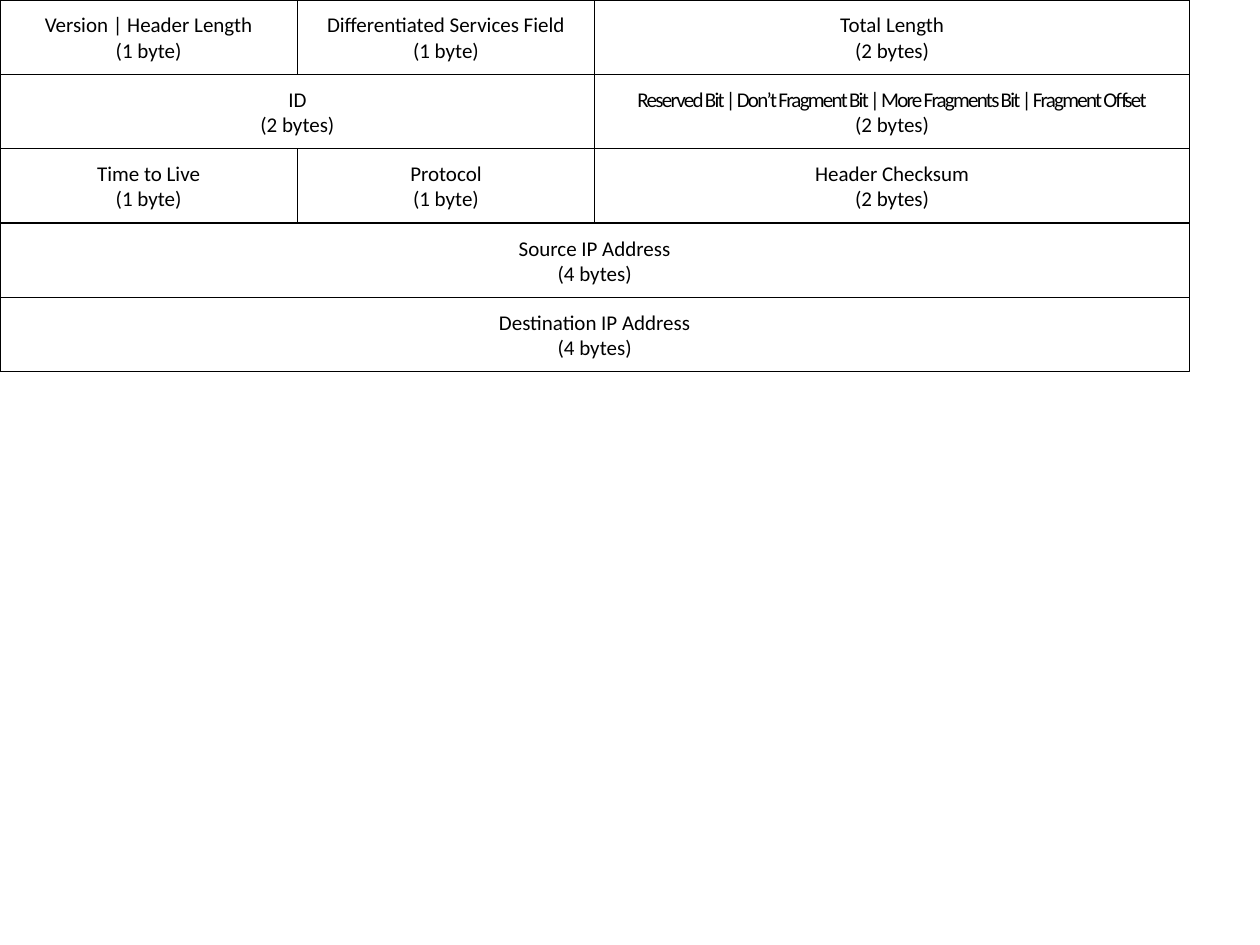
"""Build a slide that lays out the fields of an IPv4 header."""
from dataclasses import dataclass

from pptx import Presentation
from pptx.dml.color import RGBColor
from pptx.enum.shapes import MSO_SHAPE
from pptx.enum.text import MSO_ANCHOR, PP_ALIGN
from pptx.util import Inches, Pt

BYTE_WIDTH = 2.36
ROW_HEIGHT = 0.59
ROW_BYTES = 4
INK = "000000"


@dataclass(frozen=True)
class HeaderField:
    """A field of the header, with letter spacing in points."""
    label: str
    size: int
    spacing: int = 0


FIELDS = [
    HeaderField("Version | Header Length", 1),
    HeaderField("Differentiated Services Field", 1),
    HeaderField("Total Length", 2),
    HeaderField("ID", 2),
    HeaderField("Reserved Bit | Don’t Fragment Bit | More Fragments Bit | Fragment Offset", 2, -1),
    HeaderField("Time to Live", 1),
    HeaderField("Protocol", 1),
    HeaderField("Header Checksum", 2),
    HeaderField("Source IP Address", 4),
    HeaderField("Destination IP Address", 4),
]


def color(value: str) -> RGBColor:
    """Turn a hex string into a colour."""
    return RGBColor.from_string(value)


def add_line(paragraph, text: str, spacing: int = 0) -> None:
    """Write one centred line of a field."""
    paragraph.alignment = PP_ALIGN.CENTER
    run = paragraph.add_run()
    run.text = text
    run.font.size = Pt(12)
    run.font.name = "Calibri"
    run.font.color.rgb = color(INK)
    if spacing:
        run.font._element.set("spc", str(spacing * 100))


def draw_field(slide, field: HeaderField, offset: int) -> None:
    """Draw a field at its byte offset in the header."""
    row, column = divmod(offset, ROW_BYTES)
    box = slide.shapes.add_shape(
        MSO_SHAPE.RECTANGLE,
        Inches(column * BYTE_WIDTH), Inches(row * ROW_HEIGHT),
        Inches(field.size * BYTE_WIDTH), Inches(ROW_HEIGHT),
    )
    box.shadow.inherit = False
    box.fill.background()
    box.line.color.rgb = color(INK)
    box.line.width = Pt(0.75)
    frame = box.text_frame
    frame.word_wrap = True
    frame.vertical_anchor = MSO_ANCHOR.MIDDLE
    add_line(frame.paragraphs[0], field.label, field.spacing)
    unit = "byte" if field.size == 1 else "bytes"
    add_line(frame.add_paragraph(), f"({field.size} {unit})")


def main() -> None:
    """Build and save the presentation."""
    deck = Presentation()
    deck.slide_width = Inches(10)
    deck.slide_height = Inches(7.5)
    slide = deck.slides.add_slide(deck.slide_layouts[6])
    offset = 0
    for field in FIELDS:
        draw_field(slide, field, offset)
        offset += field.size
    deck.save("out.pptx")


main()
